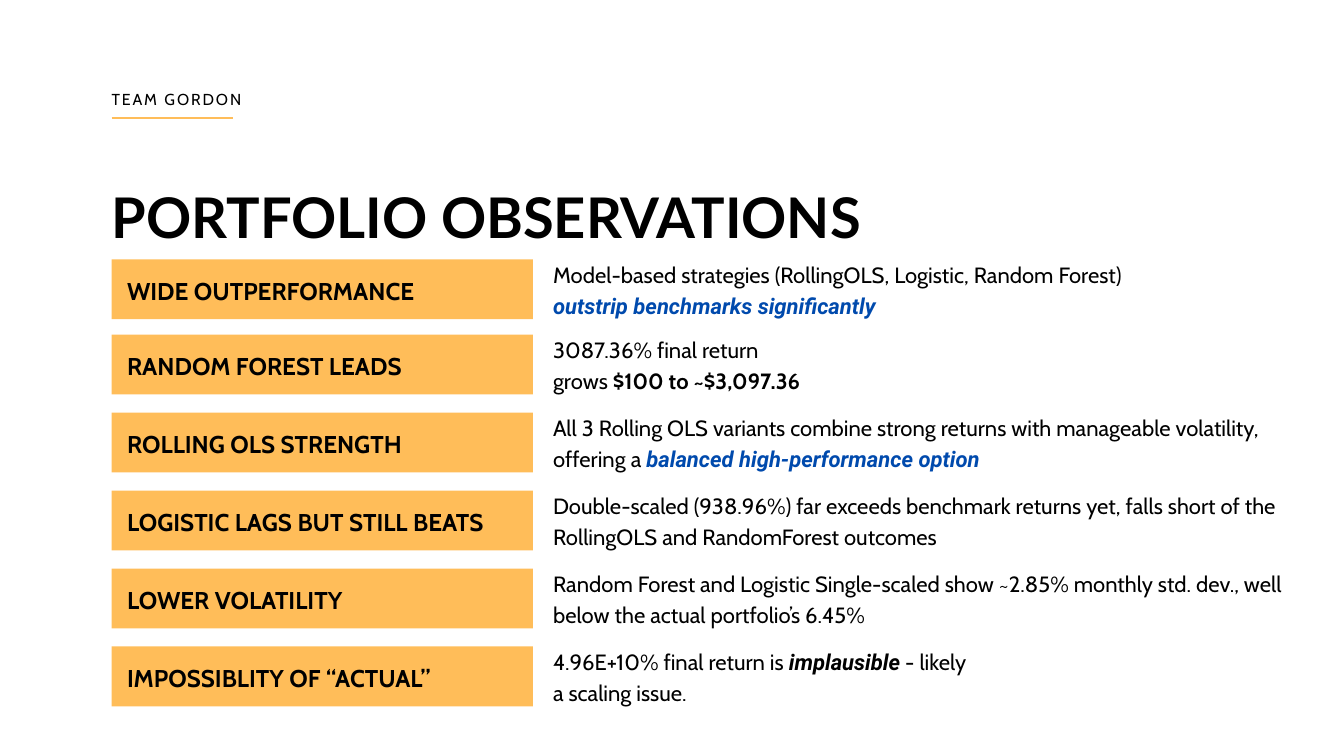
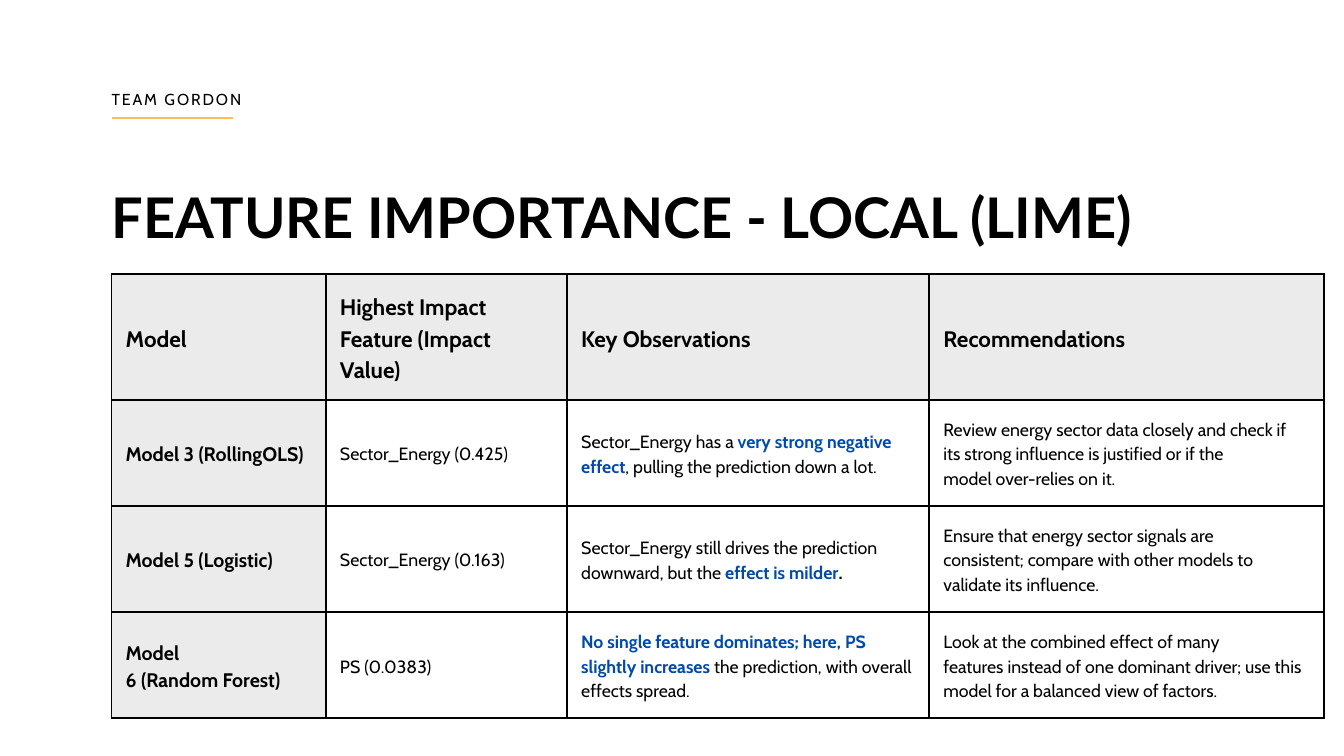
import pptx
import pptx.dml.color
import pptx.enum.shapes
import pptx.enum.text
import pptx.oxml
import pptx.oxml.ns
import pptx.util

EMU_PER_PX = 9144
BLACK, WHITE, AMBER, BLUE, GRAY = "000000", "FFFFFF", "FFBD59", "004AAD", "EBEBEB"
BODY_FONT, TITLE_FONT, ACCENT_FONT = "Cabin", "Lato", "Roboto"
LEFT = 166
NBSP = chr(160)

STRONG = {"bold": True}
STRONG_BLUE = {"bold": True, "color": BLUE}
ACCENT = {"bold": True, "italic": True, "font": ACCENT_FONT}
ACCENT_BLUE = {**ACCENT, "color": BLUE}

OBSERVATIONS = [
    ("WIDE OUTPERFORMANCE", 874,
     [[("Model-based strategies (RollingOLS, Logistic, Random Forest) ", {}),
       ("outstrip benchmarks significantly", ACCENT_BLUE)]]),
    ("RANDOM FOREST LEADS", 874,
     [[("3087.36% final return", {})],
      [("grows ", {}), ("$100 to ~$3,097.36", STRONG)]]),
    ("ROLLING OLS STRENGTH", 1109,
     [[("All 3 Rolling OLS variants combine strong returns with manageable "
        "volatility, offering a ", {}),
       ("balanced high-performance option", ACCENT_BLUE)]]),
    ("LOGISTIC LAGS BUT STILL BEATS", 1109,
     [[("Double-scaled (938.96%) far exceeds benchmark returns yet, falls "
        "short of the RollingOLS and RandomForest outcomes", {})]]),
    ("LOWER VOLATILITY", 1109,
     [[("Random Forest and Logistic Single-scaled show ~2.85% monthly std. "
        "dev., well below the actual portfolio’s 6.45%", {})]]),
    ("IMPOSSIBLITY OF “ACTUAL”", 624,
     [[("4.96E+10% final return is ", {}), ("implausible", ACCENT),
       (" - likely a scaling issue.", {})]]),
]

# "~" marks a non-breaking space in the table texts.
HEADINGS = ["Model", "Highest Impact Feature~(Impact Value)",
            "Key Observations", "Recommendations"]
MODELS = [
    ("Model 3 (RollingOLS)", "Sector_Energy~(0.425)",
     [("Sector_Energy~has a~", {}),
      ("very strong~negative effect", STRONG_BLUE),
      (", pulling the~prediction down a lot.", {})],
     "Review energy sector data~closely and check if its~strong influence "
     "is~justified or if the model~over-relies on it."),
    ("Model 5 (Logistic)", "Sector_Energy~(0.163)",
     [("Sector_Energy~still drives the~prediction downward, but the~", {}),
      ("effect is milder", STRONG_BLUE), (".", STRONG)],
     "Ensure that energy sector~signals are consistent;~compare with "
     "other~models to validate its~influence."),
    ("Model 6~(Random~Forest)", "PS (0.0383)",
     [("No single feature dominates; here,~PS slightly increases~", STRONG_BLUE),
      ("the prediction,~with overall effects spread.", {})],
     "Look at the combined~effect of many features~instead of one "
     "dominant~driver; use this model for~a balanced view of factors."),
]


def px(length):
    """Turn px into EMU."""
    return pptx.util.Emu(length * EMU_PER_PX)


def rgb(color):
    """Turn a hex string into a colour."""
    return pptx.dml.color.RGBColor.from_string(color)


def style_run(run, size, font=BODY_FONT, color=BLACK, bold=False, italic=False):
    """Format one run."""
    run.font.size = pptx.util.Pt(size)
    run.font.name = font
    run.font.color.rgb = rgb(color)
    run.font.bold = bold
    run.font.italic = italic


def write(frame, paragraphs, size, leading, **base):
    """Fill a text frame with paragraphs of (text, style) spans."""
    frame.word_wrap = True
    for index, spans in enumerate(paragraphs):
        paragraph = frame.add_paragraph() if index else frame.paragraphs[0]
        paragraph.alignment = pptx.enum.text.PP_ALIGN.LEFT
        paragraph.line_spacing = pptx.util.Pt(leading)
        for text, style in spans:
            run = paragraph.add_run()
            run.text = text
            style_run(run, size, **{**base, **style})


def clear_margins(frame):
    """Remove the insets of a text frame and anchor it at the top."""
    frame.margin_left = frame.margin_right = 0
    frame.margin_top = frame.margin_bottom = 0
    frame.vertical_anchor = pptx.enum.text.MSO_ANCHOR.TOP


def add_text(slide, box, paragraphs, size, leading, **base):
    """Add a text box without insets."""
    frame = slide.shapes.add_textbox(*map(px, box)).text_frame
    clear_margins(frame)
    write(frame, paragraphs, size, leading, **base)
    return frame


def add_team_header(slide, left, top):
    """Add the team name and the amber rule under it."""
    team = add_text(slide, (left, top, 278, 32), [[("TEAM GORDON", {})]], 17, 23.8)
    team.paragraphs[0].runs[0]._r.get_or_add_rPr().set("spc", "200")
    rule_y = px(top + 47)
    rule = slide.shapes.add_connector(
        pptx.enum.shapes.MSO_CONNECTOR.STRAIGHT,
        px(left), rule_y, px(left + 180), rule_y)
    rule.line.color.rgb = rgb(AMBER)
    rule.line.width = pptx.util.Pt(2.25)
    rule._element.spPr.append(
        pptx.oxml.parse_xml(f"<a:effectLst {pptx.oxml.ns.nsdecls('a')}/>"))


def add_titled_slide(deck, heading, width):
    """Add a slide with the team header and its title."""
    slide = deck.slides.add_slide(deck.slide_layouts[5])
    title = slide.shapes.title
    title.left, title.top, title.width, title.height = map(
        px, (LEFT, 259, width, 110))
    clear_margins(title.text_frame)
    title.text_frame.auto_size = pptx.enum.text.MSO_AUTO_SIZE.NONE
    write(title.text_frame, [[(heading, {})]], 60, 81, font=TITLE_FONT, bold=True)
    add_team_header(slide, LEFT, 129)
    return slide


def add_observation(slide, left, top, label, width, finding):
    """Add an amber bar with its label and the finding beside it."""
    bar = slide.shapes.add_shape(
        pptx.enum.shapes.MSO_SHAPE.RECTANGLE, *map(px, (left, top, 627, 89)))
    bar.shadow.inherit = False
    bar.fill.solid()
    bar.fill.fore_color.rgb = rgb(AMBER)
    bar.line.fill.background()
    add_text(slide, (left + 23, top + 18, 581, 48), [[(label, {})]],
             26, 36.4, bold=True)
    add_text(slide, (left + 657, top - 3, width, 90), finding, 23.6, 33)


def add_cell_borders(cell):
    """Draw black lines on the four sides of a cell."""
    properties = cell._tc.get_or_add_tcPr()
    for side in ("lnL", "lnR", "lnT", "lnB"):
        properties.append(pptx.oxml.parse_xml(
            f'<a:{side} {pptx.oxml.ns.nsdecls("a")} w="28575"><a:solidFill>'
            f'<a:srgbClr val="{BLACK}"/></a:solidFill></a:{side}>'))


def fill_cell(cell, content, size, leading, shaded, bold):
    """Write and format one table cell."""
    spans = [(content, {})] if isinstance(content, str) else content
    spans = [(text.replace("~", NBSP), style) for text, style in spans]
    cell.margin_left = cell.margin_right = px(21)
    cell.margin_top = cell.margin_bottom = px(21)
    cell.vertical_anchor = pptx.enum.text.MSO_ANCHOR.MIDDLE
    add_cell_borders(cell)
    cell.fill.solid()
    cell.fill.fore_color.rgb = rgb(GRAY if shaded else WHITE)
    write(cell.text_frame, [spans], size, leading, bold=bold)


def add_model_table(slide, left, top):
    """Add the table of models, features, observations and advice."""
    widths, heights = (319, 359, 539, 587), (187, 158, 158, 158)
    table = slide.shapes.add_table(
        len(heights), len(widths), px(left), px(top),
        px(sum(widths)), px(sum(heights))).table
    table.first_row = table.horz_banding = False
    for column, width in zip(table.columns, widths):
        column.width = px(width)
    for row, height in zip(table.rows, heights):
        row.height = px(height)
    for r, contents in enumerate([HEADINGS, *MODELS]):
        for c, content in enumerate(contents):
            is_heading = r == 0 or c == 0
            size = 24 if r == 0 else 21 if c == 0 else 19
            fill_cell(table.cell(r, c), content, size, round(size * 1.4, 1),
                      is_heading, is_heading)


def build_observations(deck):
    """Build the slide of portfolio observations."""
    slide = add_titled_slide(deck, "PORTFOLIO OBSERVATIONS", 1184)
    tops = [386, *range(498, 963, 116)]
    for top, observation in zip(tops, OBSERVATIONS):
        add_observation(slide, LEFT, top, *observation)


def build_feature_importance(deck):
    """Build the slide of local feature importance."""
    slide = add_titled_slide(deck, "FEATURE IMPORTANCE - LOCAL (LIME)", 1702)
    add_model_table(slide, LEFT, 408)


def main():
    """Build and save the deck."""
    deck = pptx.Presentation()
    deck.slide_width, deck.slide_height = px(2000), px(1125)
    build_observations(deck)
    build_feature_importance(deck)
    deck.save("out.pptx")


if __name__ == "__main__":
    main()
